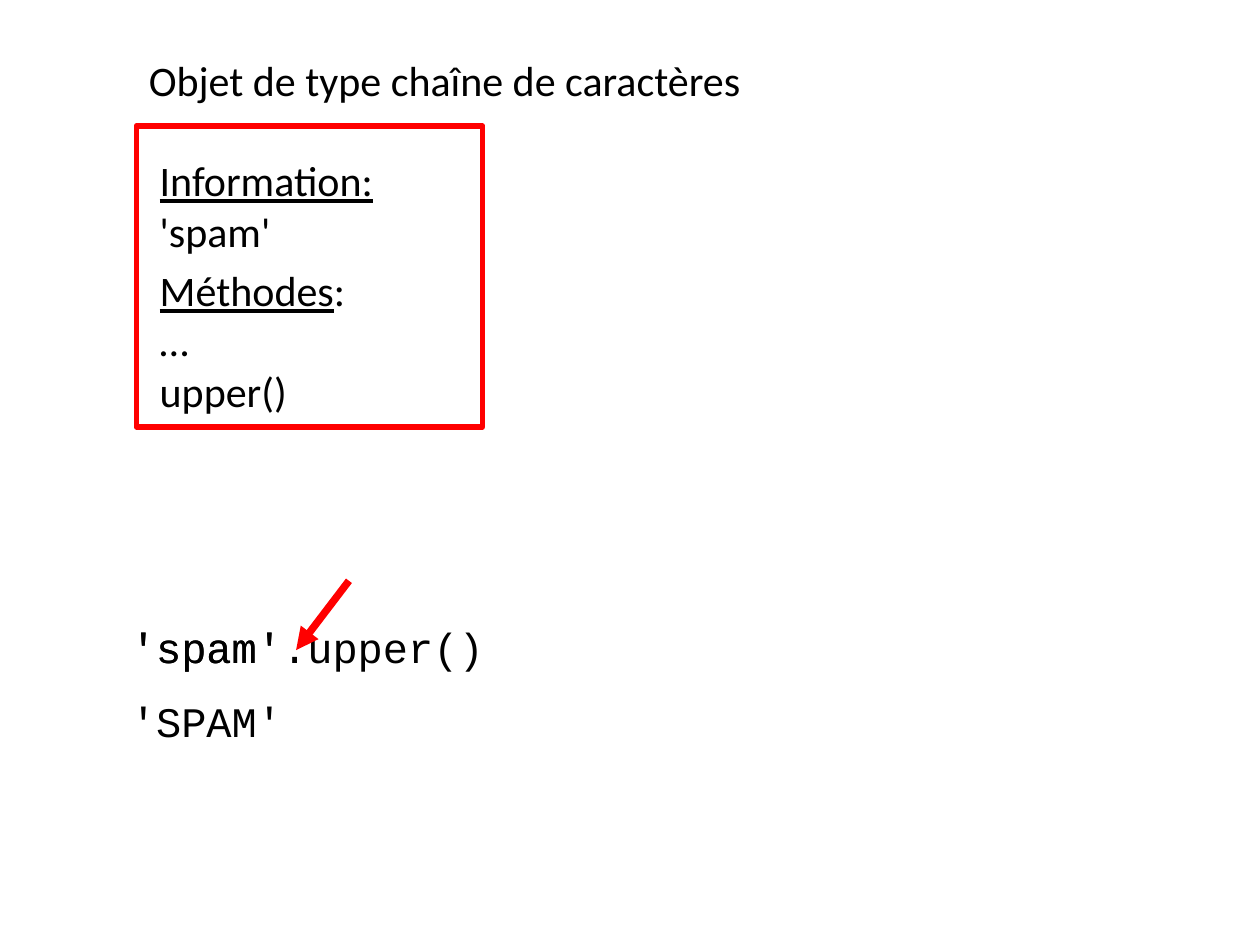
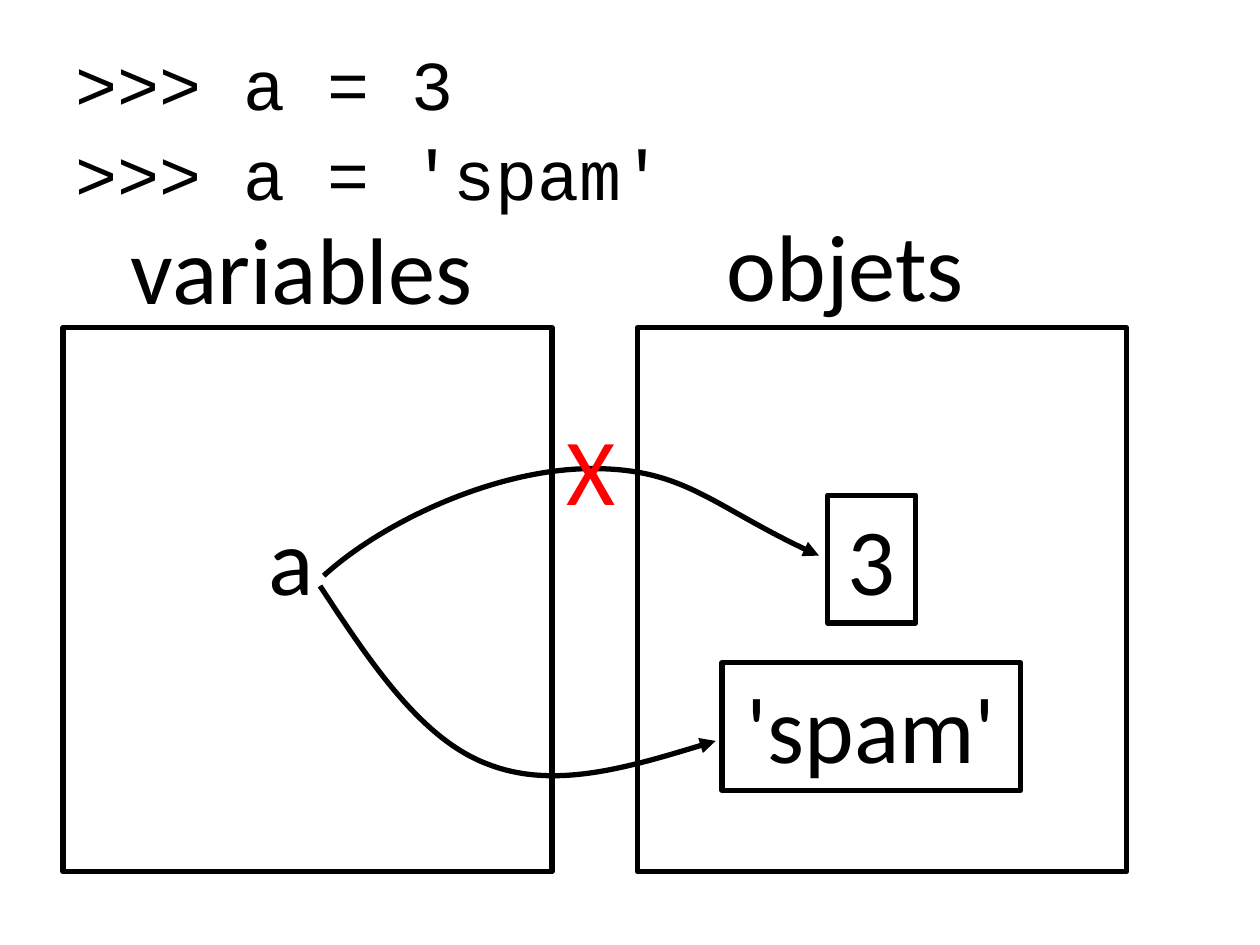
from lxml import etree
from pptx import Presentation
from pptx.enum import shapes, text
from pptx.dml.color import RGBColor
from pptx.oxml import ns
from pptx.util import Pt

COLOURS = {"ink": "000000", "paper": "FFFFFF", "alert": "FF0000"}
BODY, CODE = "Calibri", "Courier New"
SMALL, MEDIUM, LARGE = 24, 40, 54
LINE, ARROW_LINE = 3, 4.25

# Slide 1: (left, top, width, height) in points; a paragraph is a list of
# (text, underlined) runs.
TITLE = ("Objet de type chaîne de caractères", (77.8, 27.4, 399, 36))
OBJECT_FRAME = (77.8, 72, 198, 172)
OBJECT_PARTS = [
    ((84.2, 85, 184.3, 65.5), [[("Information:", True)], [("'spam'", False)]]),
    ((84.2, 147.6, 184.3, 94.3),
     [[("Méthodes", True), (":", False)], [("…", False)], [("upper()", False)]]),
]
CODE_LEFT, CODE_WIDTH, CODE_HEIGHT = 67.7, 591.8, 65.5
CALL, CALL_TOP = "'spam'.upper()", 351.4
RECEIVER = "'spam'"
RESULT, RESULT_TOP = "'SPAM'", 393.8
POINTER = ((199.4, 331.9), (169.2, 371.5))

# Slide 2
SESSION = ([">>> a = 3", ">>> a = 'spam'"], (36, 25.2, 524.9, 104.4))
PANEL_LEFTS, PANEL_TOP, PANEL_SIZE = (36, 364.3), 187.2, (279.4, 311)
LABEL_HEIGHT = 73
LABELS = [  # text, left, top, width, colour
    ("variables", 67.7, 116.6, 272, "ink"),
    ("objets", 408.2, 114.5, 272, "ink"),
    ("a", 146.2, 283, 85, "ink"),
]
CROSS = ("X", 316.8, 231.1, 46, "alert")
VALUES = [("3", 473, 283, 50.4), ("'spam'", 412.6, 378.7, 170.6)]
LINKS = [  # start, then (control, control, end) for each curve
    ((185, 329), [((218.9, 298.1), (282.2, 268.6), (336.2, 267.8)),
                  ((390.2, 267.1), (407.5, 290.2), (468, 317.5))]),
    ((182.9, 334.8), [((211.7, 378.7), (240.5, 421.9), (277.9, 436.3)),
                      ((315.4, 451.4), (362.2, 437.8), (409, 423.4))]),
]


def rgb(name):
    """Return a named colour."""
    return RGBColor.from_string(COLOURS[name])


def points(values):
    """Convert numbers in points to lengths."""
    return [Pt(v) for v in values]


def write(sp, paragraphs, size, font=BODY, colour="ink", align=text.PP_ALIGN.LEFT,
          before=0, spacing=None):
    """Fill a shape with paragraphs, each a string or a list of runs."""
    tf = sp.text_frame
    tf.word_wrap = True
    tf.vertical_anchor = text.MSO_ANCHOR.TOP
    for i, runs in enumerate(paragraphs):
        p = tf.paragraphs[0] if i == 0 else tf.add_paragraph()
        p.alignment, p.space_before = align, Pt(before)
        if spacing:
            p.line_spacing = spacing
        p.font.name, p.font.size = font, Pt(size)
        p.font.color.rgb = rgb(colour)
        for words, underlined in [(runs, False)] if isinstance(runs, str) else runs:
            r = p.add_run()
            r.text = words
            if underlined:
                r.font.underline = True


def add_text(slide, box, paragraphs, size, **style):
    """Add a text box."""
    write(slide.shapes.add_textbox(*points(box)), paragraphs, size, **style)


def add_box(slide, box, line=None, fill=None):
    """Add a rectangle with an optional outline and fill."""
    sp = slide.shapes.add_shape(shapes.MSO_SHAPE.RECTANGLE, *points(box))
    sp.shadow.inherit = False
    if fill:
        sp.fill.solid()
        sp.fill.fore_color.rgb = rgb(fill)
    else:
        sp.fill.background()
    if line:
        sp.line.color.rgb, sp.line.width = rgb(line), Pt(LINE)
    else:
        sp.line.fill.background()
    return sp


def style_arrow(sp, colour, width):
    """Colour a line and give its end a triangle."""
    sp.line.color.rgb, sp.line.width = rgb(colour), Pt(width)
    etree.SubElement(sp.line._get_or_add_ln(), ns.qn("a:tailEnd"), type="triangle")


def add_arrow(slide, start, end):
    """Add a straight red arrow."""
    cx = slide.shapes.add_connector(shapes.MSO_CONNECTOR.STRAIGHT, *points(start + end))
    style_arrow(cx, "alert", ARROW_LINE)
    etree.SubElement(cx._element.spPr, ns.qn("a:effectLst"))


def add_curve(slide, start, curves):
    """Add a curved arrow: a freeform whose segments become Bezier curves."""
    builder = slide.shapes.build_freeform(*points(start), scale=1.0)
    builder.add_line_segments([points(c[-1]) for c in curves], close=False)
    sp = builder.convert_to_shape()
    sp.shadow.inherit = False
    sp.fill.background()
    style_arrow(sp, "ink", LINE)
    for segment, curve in zip(sp._element.xpath(".//a:lnTo"), curves):
        bezier = etree.Element(ns.qn("a:cubicBezTo"))
        for x, y in curve:
            etree.SubElement(bezier, ns.qn("a:pt"),
                             x=str(Pt(x) - sp.left), y=str(Pt(y) - sp.top))
        segment.getparent().replace(segment, bezier)


def add_code(slide, top, words):
    """Add one line of code across the slide."""
    add_text(slide, (CODE_LEFT, top, CODE_WIDTH, CODE_HEIGHT), [words], SMALL,
             font=CODE, before=0.2 * SMALL)


def add_label(slide, words, left, top, width, colour):
    """Add a large label."""
    add_text(slide, (left, top, width, LABEL_HEIGHT), [words], LARGE, colour=colour)


def string_slide(prs):
    """Show a string object and a call of its method."""
    s = prs.slides.add_slide(prs.slide_layouts[5])
    words, box = TITLE
    title = s.shapes.title
    title.left, title.top, title.width, title.height = points(box)
    write(title, [words], SMALL)
    add_box(s, OBJECT_FRAME, line="alert")
    call = add_box(s, (CODE_LEFT, CALL_TOP, CODE_WIDTH, CODE_HEIGHT), fill="paper")
    write(call, [CALL], SMALL, font=CODE, before=0.2 * SMALL)
    for box, paragraphs in OBJECT_PARTS:
        add_text(s, box, paragraphs, SMALL)
    add_arrow(s, *POINTER)
    add_code(s, CALL_TOP, RECEIVER)
    add_code(s, RESULT_TOP, RESULT)


def variable_slide(prs):
    """Show a variable that moves from one object to another."""
    s = prs.slides.add_slide(prs.slide_layouts[6])
    for left in PANEL_LEFTS:
        add_box(s, (left, PANEL_TOP) + PANEL_SIZE, line="ink")
    lines, box = SESSION
    add_text(s, box, lines, MEDIUM, font=CODE, before=0.2 * MEDIUM, spacing=0.9)
    for label in LABELS:
        add_label(s, *label)
    for words, left, top, width in VALUES:
        sp = add_box(s, (left, top, width, LABEL_HEIGHT), line="ink")
        write(sp, [words], LARGE, align=text.PP_ALIGN.CENTER)
    for link in LINKS:
        add_curve(s, *link)
    add_label(s, *CROSS)


prs = Presentation()
prs.slide_width, prs.slide_height = Pt(720), Pt(540)
string_slide(prs)
variable_slide(prs)
prs.save("out.pptx")
